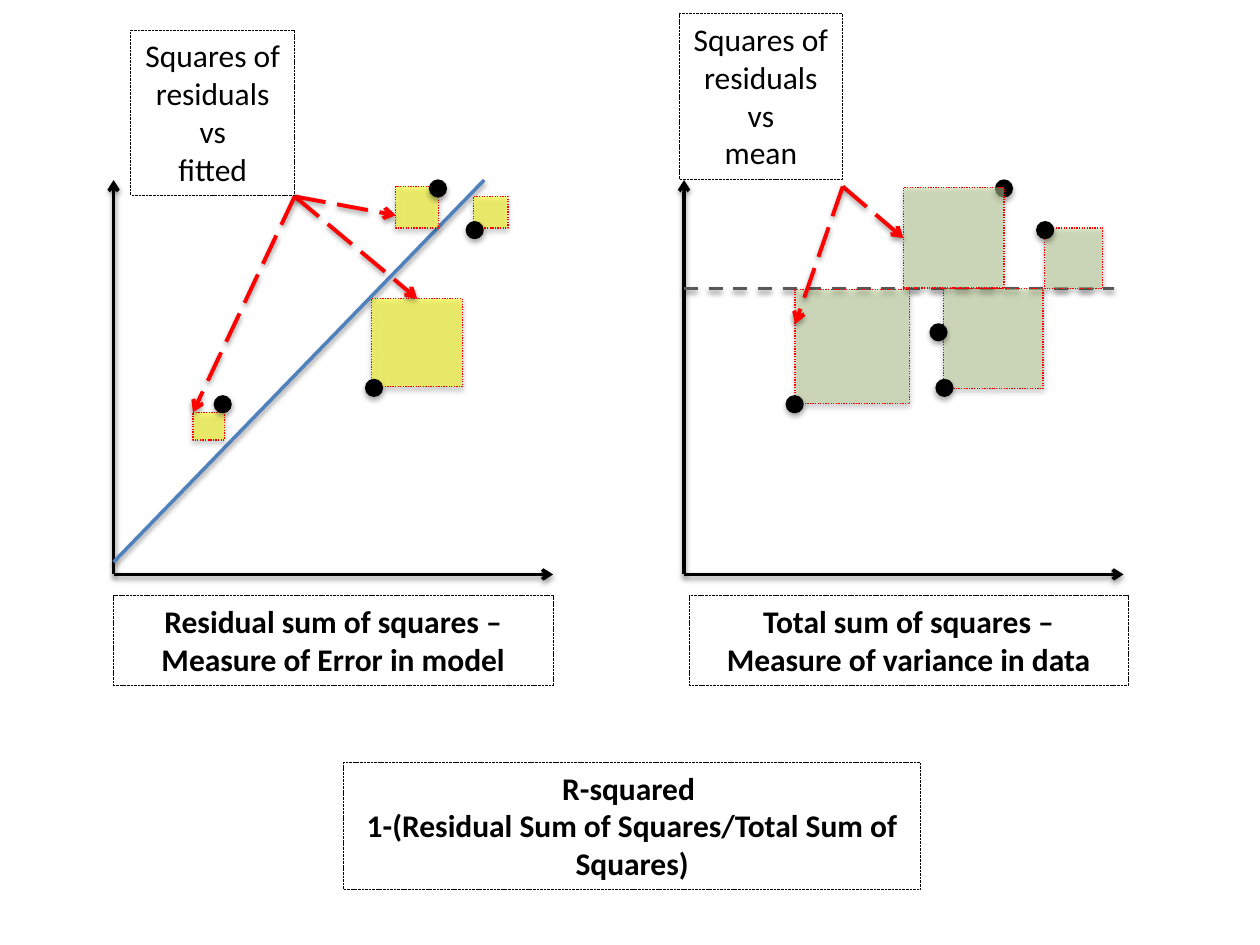
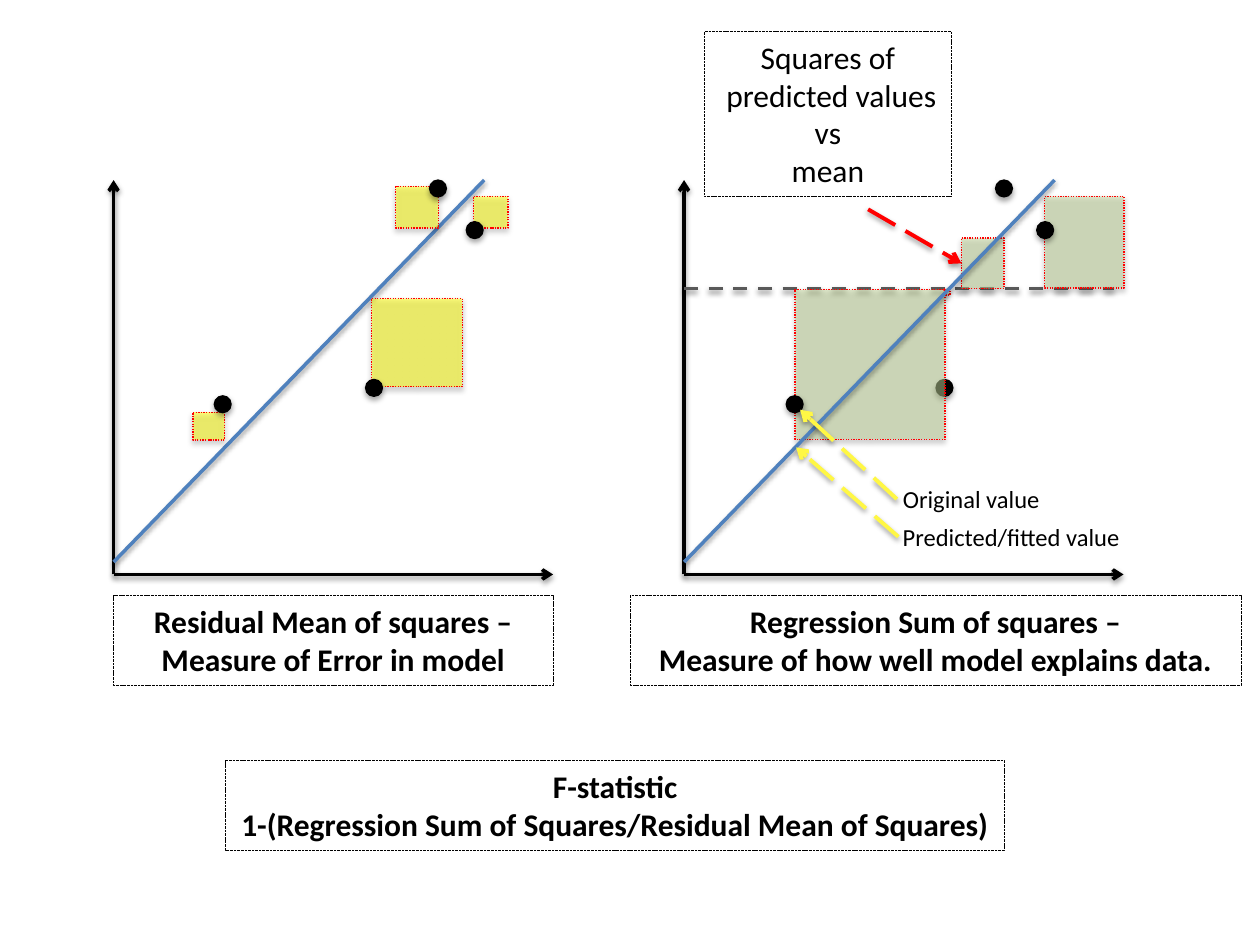
from lxml import etree
from pptx import Presentation
from pptx.dml.color import RGBColor
from pptx.enum.dml import MSO_LINE
from pptx.enum.shapes import MSO_CONNECTOR, MSO_SHAPE
from pptx.enum.text import MSO_AUTO_SIZE, PP_ALIGN
from pptx.oxml.ns import qn
from pptx.util import Cm, Pt

STRAIGHT = MSO_CONNECTOR.STRAIGHT
RECTANGLE, OVAL = MSO_SHAPE.RECTANGLE, MSO_SHAPE.OVAL
DOTTED, SHORT_DASH = MSO_LINE.ROUND_DOT, MSO_LINE.SQUARE_DOT
DASH, LONG_DASH = MSO_LINE.DASH, MSO_LINE.LONG_DASH
CENTER, GROW = PP_ALIGN.CENTER, MSO_AUTO_SIZE.SHAPE_TO_FIT_TEXT

COLORS = {
    "ink": "000000",
    "fit": "4F81BD",
    "mean": "595959",
    "red": "FF0000",
    "pointer": "FFF744",
    "residual": "FFFF00",
    "variance": "C3D69B",
}

# Plot geometry in centimetres
LEFT_AXIS, RIGHT_AXIS = 2.29, 13.79
AXIS_TOP, AXIS_BOTTOM, AXIS_WIDTH = 3.63, 11.58, 8.86
FIT_START, FIT_WIDTH = 11.33, 7.47
MEAN_LEVEL, MEAN_WIDTH = 5.82, 8.66
DOT_SIZE = 0.34
CAPTION_TOP, CAPTION_HEIGHT = 12.01, 1.8

# Each square (left, top, width, height) pairs with the dot (left, top) above it
RESIDUAL_SQUARES = [
    (3.89, 8.31, 0.64, 0.56),
    (7.49, 6.02, 1.83, 1.78),
    (9.55, 3.96, 0.69, 0.64),
    (7.98, 3.76, 0.86, 0.84),
]
RESIDUAL_DOTS = [(4.32, 7.98), (7.37, 7.65), (9.4, 4.47), (8.66, 3.63)]
TOTAL_SQUARES = [
    (21.06, 4.6, 1.17, 1.22),
    (19.02, 5.82, 2.01, 2.01),
    (16.03, 5.84, 2.31, 2.29),
    (18.21, 3.78, 2.03, 2.03),
]
REGRESSION_SQUARES = [
    (21.06, 3.96, 1.6, 1.85),
    (19.02, 5.82, 0.13, 0.13),
    (16.03, 5.84, 3.02, 3.02),
    (19.38, 4.8, 0.86, 1.02),
]
MEAN_DOTS = [(20.9, 4.47), (18.87, 7.65), (20.07, 3.63), (15.85, 7.98)]


def set_all(target, values):
    for name, value in values.items():
        setattr(target, name, value)


def add_xml(parent, tag, **attributes):
    return etree.SubElement(parent, qn(tag), attributes)


def add_shadow(effects, blur, distance, opacity):
    shadow = add_xml(effects, "a:outerShdw", blurRad=str(Pt(blur)),
                     dist=str(Pt(distance)), dir="5400000", rotWithShape="0")
    color = add_xml(shadow, "a:srgbClr", val=COLORS["ink"])
    add_xml(color, "a:alpha", val=str(opacity * 1000))


class Diagram:
    def __init__(self, deck):
        self.deck = deck
        self.page = None

    def new_page(self):
        self.page = self.deck.slides.add_slide(self.deck.slide_layouts[6])

    def outline(self, line, color, width, dash=None):
        line.color.rgb = RGBColor.from_string(COLORS[color])
        set_all(line, {"width": Pt(width), "dash_style": dash})

    def line(self, start, end, color, width=2.0, dash=None, arrow=False):
        connector = self.page.shapes.add_connector(
            STRAIGHT, *(Cm(value) for value in (*start, *end)))
        self.outline(connector.line, color, width, dash)
        properties = connector.element.spPr
        if arrow:
            add_xml(properties.find(qn("a:ln")), "a:tailEnd", type="arrow")
        add_shadow(add_xml(properties, "a:effectLst"), 3.1, 1.6, 38)

    def pointers(self, start, ends, color="red"):
        for end in ends:
            self.line(start, end, color, 2.25, LONG_DASH, arrow=True)

    def shape(self, kind, area, fill):
        shape = self.page.shapes.add_shape(kind, *(Cm(value) for value in area))
        shape.fill.solid()
        shape.fill.fore_color.rgb = RGBColor.from_string(COLORS[fill])
        shape.shadow.inherit = False
        add_shadow(shape.element.spPr.find(qn("a:effectLst")), 3.1, 1.8, 35)
        return shape

    def square(self, area, fill):
        square = self.shape(RECTANGLE, area, fill)
        self.outline(square.line, "red", 0.75, DOTTED)
        color = square.element.spPr.find(qn("a:solidFill"))[0]
        add_xml(color, "a:alpha", val="50000")

    def dot(self, left, top):
        dot = self.shape(OVAL, (left, top, DOT_SIZE, DOT_SIZE), "ink")
        self.outline(dot.line, "ink", 0.75)

    def text(self, area, lines, size=18, bold=False, wrap=True, framed=True):
        box = self.page.shapes.add_textbox(*(Cm(value) for value in area))
        if framed:
            self.outline(box.line, "ink", 0.5, SHORT_DASH)
        set_all(box.text_frame, {"word_wrap": wrap, "auto_size": GROW})
        for index, words in enumerate(lines):
            para = (box.text_frame.add_paragraph() if index
                    else box.text_frame.paragraphs[0])
            para.alignment = CENTER
            span = para.add_run()
            span.text = words
            set_all(span.font, {"name": "Calibri", "size": Pt(size), "bold": bold})
            span.font.color.rgb = RGBColor.from_string(COLORS["ink"])

    def callout(self, left, top, width, subject, reference):
        self.text((left, top, width, 3.33),
                  ["Squares of", subject, "vs", reference], wrap=False)

    def caption(self, left, width, lines):
        self.text((left, CAPTION_TOP, width, CAPTION_HEIGHT), lines, bold=True)

    def axes(self, left):
        origin = (left, AXIS_BOTTOM)
        for end in ((left, AXIS_TOP), (left + AXIS_WIDTH, AXIS_BOTTOM)):
            self.line(origin, end, "ink", arrow=True)

    def fit_line(self, left):
        self.line((left, FIT_START), (left + FIT_WIDTH, AXIS_TOP), "fit")

    def points(self, squares, dots, fill):
        for area, place in zip(squares, dots):
            self.square(area, fill)
            self.dot(*place)

    def residual_plot(self):
        self.axes(LEFT_AXIS)
        self.fit_line(LEFT_AXIS)
        self.points(RESIDUAL_SQUARES, RESIDUAL_DOTS, "residual")

    def mean_plot(self, squares):
        self.axes(RIGHT_AXIS)
        self.line((RIGHT_AXIS, MEAN_LEVEL), (RIGHT_AXIS + MEAN_WIDTH, MEAN_LEVEL),
                  "mean", dash=DASH)
        self.points(squares, MEAN_DOTS, "variance")


def build_r_squared(diagram):
    diagram.new_page()
    diagram.residual_plot()
    diagram.mean_plot(TOTAL_SQUARES)
    diagram.dot(18.75, 6.53)
    diagram.callout(2.64, 0.61, 3.3, " residuals ", "fitted")
    diagram.pointers((5.94, 3.96), [(7.98, 4.34), (8.41, 6.02), (3.89, 8.31)])
    diagram.callout(13.69, 0.28, 3.3, " residuals ", "mean")
    diagram.pointers((16.99, 3.76), [(18.21, 4.8), (16.03, 6.53)])
    diagram.caption(LEFT_AXIS, AXIS_WIDTH,
                    ["Residual sum of squares –", "Measure of Error in model"])
    diagram.caption(13.89, AXIS_WIDTH,
                    ["Total sum of squares –", "Measure of variance in data"])
    diagram.text((6.93, 15.37, 11.63, 2.57),
                 ["R-squared ", "1-(Residual Sum of Squares/Total Sum of Squares)"],
                 bold=True)


def build_f_statistic(diagram):
    diagram.new_page()
    diagram.residual_plot()
    diagram.mean_plot(REGRESSION_SQUARES)
    diagram.fit_line(RIGHT_AXIS)
    diagram.caption(LEFT_AXIS, AXIS_WIDTH,
                    ["Residual Mean of squares –", "Measure of Error in model"])
    diagram.caption(12.7, 12.32, ["Regression Sum of squares –",
                                  "Measure of how well model explains data."])
    diagram.callout(14.2, 0.64, 4.98, " predicted values", "mean")
    diagram.pointers((17.5, 4.22), [(19.38, 5.31)])
    diagram.pointers((18.11, 10.82), [(16.05, 9.02)], "pointer")
    diagram.pointers((18.08, 10.06), [(16.13, 8.26)], "pointer")
    for area, label in (((17.93, 9.63, 3.3, 0.86), "Original value"),
                        ((17.91, 10.39, 4.95, 0.86), "Predicted/fitted value")):
        diagram.text(area, [label], size=14, wrap=False, framed=False)
    diagram.text((4.55, 15.34, 15.7, 1.8),
                 ["F-statistic",
                  "1-(Regression Sum of Squares/Residual Mean of Squares)"],
                 bold=True)


def main():
    deck = Presentation()
    set_all(deck, {"slide_width": Cm(25.4), "slide_height": Cm(19.05)})
    diagram = Diagram(deck)
    build_r_squared(diagram)
    build_f_statistic(diagram)
    deck.save("out.pptx")


if __name__ == "__main__":
    main()
